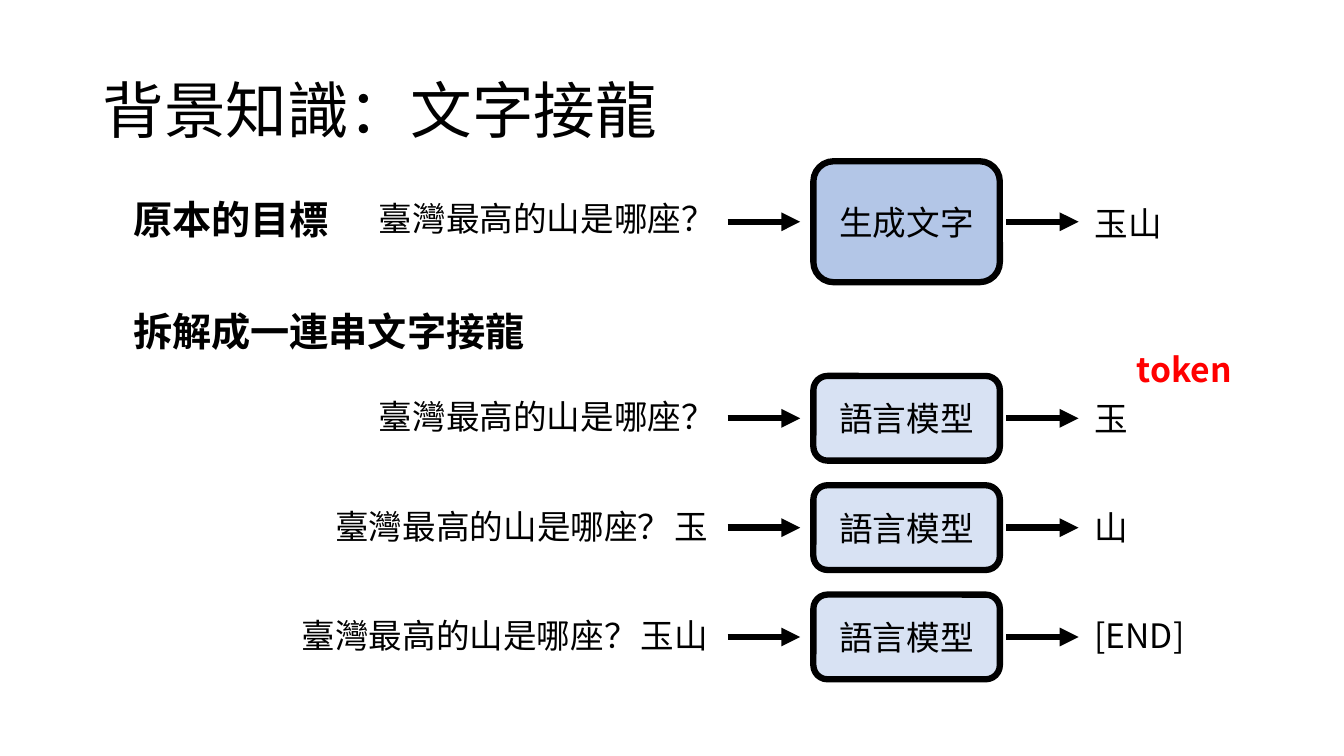
from lxml import etree
from pptx import Presentation
from pptx.dml.color import RGBColor
from pptx.enum import shapes, text
from pptx.oxml import ns
from pptx.util import Pt

TITLE = "背景知識：文字接龍"
QUESTION = "臺灣最高的山是哪座？"
# text, left, top, width, height, style, alignment
LABELS = [
    ("原本的目標", 66, 136, 176, 41, "heading", "RIGHT"),
    ("拆解成一連串文字接龍", 88, 216, 402, 41, "heading", "LEFT"),
    ("token", 759, 245.5, 173.5, 36, "token", "CENTER"),
]
GOAL = {"model": "生成文字", "so_far": "", "output": "玉山", "fill": "goal",
        "height": 86.4, "prompt_rise": 20.9, "output_rise": 17.3}
STEP = {"model": "語言模型", "fill": "step", "height": 60.5,
        "prompt_rise": 19.4, "output_rise": 18}
STEPS = [
    {**STEP, "so_far": "", "output": "玉"},
    {**STEP, "so_far": "玉", "output": "山"},
    {**STEP, "so_far": "玉山", "output": "[END]", "output_rise": 19.4},
]

THEME = {
    "font": "Noto Sans CJK TC",
    "ink": "000000",
    "goal": "B3C6E7",
    "step": "D8E2F3",
    "line": 4.5,
    "styles": {
        "title": {"size": 44, "bold": False, "color": "000000"},
        "heading": {"size": 28, "bold": True, "color": "000000"},
        "body": {"size": 24, "bold": False, "color": "000000"},
        "token": {"size": 24, "bold": True, "color": "FF0000"},
    },
}

GOAL_CENTRE, FIRST_STEP_CENTRE, STEP_PITCH = 158.4, 298.8, 78.1
PROMPT_LEFT, PROMPT_WIDTH, QUESTION_ADVANCE = 263.5, 298, 242
MODEL_LEFT, MODEL_WIDTH = 581, 133.2
OUTPUT_LEFT, SHORT_WIDTH, TEXT_HEIGHT = 774.7, 85.7, 36
ARROW_STARTS, ARROW_LENGTH = (519.8, 718.6), 51.8
GLYPH, WORD_GAP = 24, 7


def rgb(value):
    return RGBColor.from_string(value)


def write(frame, words, style, align="LEFT", anchor="TOP"):
    look = THEME["styles"][style]
    for name, value in {"word_wrap": True, "auto_size": text.MSO_AUTO_SIZE.NONE,
                        "vertical_anchor": text.MSO_ANCHOR[anchor]}.items():
        setattr(frame, name, value)
    para = frame.paragraphs[0]
    para.alignment = text.PP_ALIGN[align]
    span = para.add_run()
    span.text = words
    for name, value in {"size": Pt(look["size"]), "bold": look["bold"],
                        "name": THEME["font"]}.items():
        setattr(span.font, name, value)
    span.font.color.rgb = rgb(look["color"])
    east_asian = etree.SubElement(span._r.get_or_add_rPr(), ns.qn("a:ea"))
    east_asian.set("typeface", THEME["font"])
    return para


def add_text(page, words, left, top, width, height, style="body", align="LEFT"):
    box = page.shapes.add_textbox(Pt(left), Pt(top), Pt(width), Pt(height))
    write(box.text_frame, words, style, align)


def add_model(page, row, centre):
    box = page.shapes.add_shape(
        shapes.MSO_SHAPE.ROUNDED_RECTANGLE, Pt(MODEL_LEFT),
        Pt(centre - row["height"] / 2), Pt(MODEL_WIDTH), Pt(row["height"]))
    box.shadow.inherit = False
    box.fill.solid()
    box.fill.fore_color.rgb = rgb(THEME[row["fill"]])
    box.line.color.rgb = rgb(THEME["ink"])
    box.line.width = Pt(THEME["line"])
    write(box.text_frame, row["model"], "body", "CENTER", "MIDDLE")


def add_arrow(page, left, y):
    arrow = page.shapes.add_connector(
        shapes.MSO_CONNECTOR.STRAIGHT, Pt(left), Pt(y), Pt(left + ARROW_LENGTH), Pt(y))
    arrow.line.color.rgb = rgb(THEME["ink"])
    arrow.line.width = Pt(THEME["line"])
    head = etree.SubElement(arrow.line._get_or_add_ln(), ns.qn("a:tailEnd"))
    head.set("type", "triangle")
    etree.SubElement(arrow._element.spPr, ns.qn("a:effectLst"))


def add_row(page, row, centre):
    """Draw prompt, model and output; earlier output pushes the question left."""
    so_far = row["so_far"]
    left = PROMPT_LEFT - (GLYPH * len(so_far) + WORD_GAP if so_far else 0)
    top = centre - row["prompt_rise"]
    add_model(page, row, centre)
    add_text(page, QUESTION, left, top, PROMPT_WIDTH, TEXT_HEIGHT)
    if so_far:
        add_text(page, so_far, left + QUESTION_ADVANCE, top, SHORT_WIDTH, TEXT_HEIGHT)
    for start in ARROW_STARTS:
        add_arrow(page, start, centre)
    add_text(page, row["output"], OUTPUT_LEFT, centre - row["output_rise"],
             SHORT_WIDTH, TEXT_HEIGHT)


def main():
    deck = Presentation()
    deck.slide_width, deck.slide_height = Pt(960), Pt(540)
    page = deck.slides.add_slide(deck.slide_layouts[5])
    title = page.shapes.title
    for name, value in {"left": 66, "top": 28.8, "width": 828, "height": 104.4}.items():
        setattr(title, name, Pt(value))
    write(title.text_frame, TITLE, "title", anchor="MIDDLE").line_spacing = 0.9
    for label in LABELS:
        add_text(page, *label)
    add_row(page, GOAL, GOAL_CENTRE)
    for index, step in enumerate(STEPS):
        add_row(page, step, FIRST_STEP_CENTRE + index * STEP_PITCH)
    deck.save("out.pptx")


if __name__ == "__main__":
    main()
